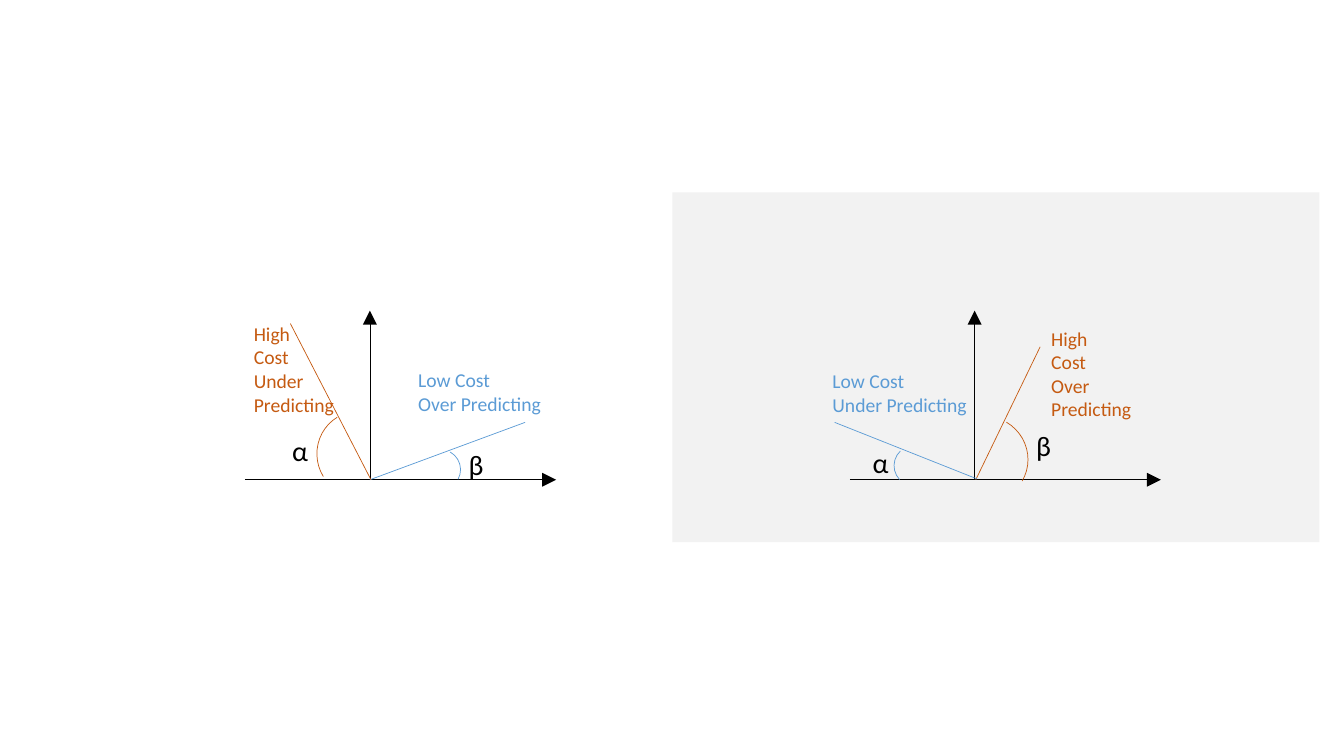
from dataclasses import dataclass

from lxml.etree import SubElement
from pptx import Presentation
from pptx.dml.color import RGBColor
from pptx.enum.shapes import MSO_CONNECTOR, MSO_SHAPE
from pptx.enum.text import MSO_ANCHOR
from pptx.oxml.ns import qn
from pptx.util import Pt


@dataclass(frozen=True)
class Theme:
    font: str = "Calibri"
    black: str = "000000"
    low: str = "5B9BD5"
    high: str = "C55A11"
    panel: str = "F2F2F2"
    label: int = 14
    greek: int = 20
    line: float = 0.5


class Sketch:
    def __init__(self, slide, theme):
        self.slide = slide
        self.theme = theme

    def panel(self, *box):
        shape = self.slide.shapes.add_shape(MSO_SHAPE.RECTANGLE, *map(Pt, box))
        shape.shadow.inherit = False
        shape.fill.solid()
        shape.fill.fore_color.rgb = RGBColor.from_string(self.theme.panel)
        shape.line.fill.background()

    def text(self, lines, color, size, box, anchor=MSO_ANCHOR.MIDDLE):
        frame = self.slide.shapes.add_textbox(*map(Pt, box)).text_frame
        frame.word_wrap = True
        frame.vertical_anchor = anchor
        frame.text = "\n".join(lines)
        for para in frame.paragraphs:
            para.font.name = self.theme.font
            para.font.size = Pt(size)
            para.font.color.rgb = RGBColor.from_string(color)

    def label(self, lines, color, *box):
        self.text(lines, color, self.theme.label, box)

    def greek(self, sign, left, top, width):
        box = (left, top, width, 31.7)
        self.text([sign], self.theme.black, self.theme.greek, box, MSO_ANCHOR.TOP)

    def stroke(self, shape, color):
        shape.line.color.rgb = RGBColor.from_string(color)
        shape.line.width = Pt(self.theme.line)

    def line(self, color, *ends):
        line = self.slide.shapes.add_connector(MSO_CONNECTOR.STRAIGHT, *map(Pt, ends))
        self.stroke(line, color)
        SubElement(line._element.spPr, qn("a:effectLst"))
        return line

    def arrow(self, *ends):
        line = self.line(self.theme.black, *ends)
        SubElement(line.line._get_or_add_ln(), qn("a:tailEnd"),
                   type="triangle", w="lg", len="lg")

    def axes(self, left):
        base = 342.7
        self.arrow(left, base, left + 222.2, base)
        self.arrow(left + 89.2, base, left + 89.2, 221.9)

    def arc(self, color, left, top, width, height, turn):
        arc = self.slide.shapes.add_shape(
            MSO_SHAPE.ARC, Pt(left), Pt(top), Pt(width), Pt(height))
        arc.shadow.inherit = False
        arc.fill.background()
        self.stroke(arc, color)
        arc.rotation = turn


def left_plot(draw):
    low, high = draw.theme.low, draw.theme.high
    draw.axes(175)
    draw.label(["Low Cost", "Over Predicting"], low, 291.6, 254.2, 106.6, 51.1)
    draw.label(["High", "Cost", "Under Predicting"], high, 174.2, 216.7, 90, 93.6)
    draw.line(low, 264.2, 342.7, 375.1, 301.7)
    draw.line(high, 265, 342.7, 207.4, 231.1)
    draw.greek("β", 327.6, 316.1, 34.6)
    draw.greek("α", 201.6, 306, 23)
    draw.arc(low, 300.2, 321.1, 28.8, 28.8, 28.8)
    draw.arc(high, 226.1, 293.8, 61.9, 61.2, 238.5)


def right_plot(draw):
    low, high = draw.theme.low, draw.theme.high
    draw.panel(480.2, 137.5, 462.2, 249.8)
    draw.axes(607)
    draw.label(["Low Cost", "Under Predicting"], low, 587.5, 254.9, 119.5, 51.1)
    draw.label(["High", "Cost", "Over", "Predicting"], high, 743.8, 229, 88.6, 75.6)
    draw.line(high, 697, 342.7, 743, 247.7)
    draw.line(low, 697.7, 342, 596.2, 301.7)
    draw.greek("α", 616.3, 314.6, 23)
    draw.greek("β", 733, 302.4, 34.6)
    draw.arc(low, 638.6, 318.2, 28.8, 28.8, 226.5)
    draw.arc(high, 672.5, 297.4, 61.9, 61.2, 30.3)


def main():
    deck = Presentation()
    deck.slide_width, deck.slide_height = Pt(960), Pt(540)
    draw = Sketch(deck.slides.add_slide(deck.slide_layouts[6]), Theme())
    left_plot(draw)
    right_plot(draw)
    deck.save("out.pptx")


if __name__ == "__main__":
    main()
